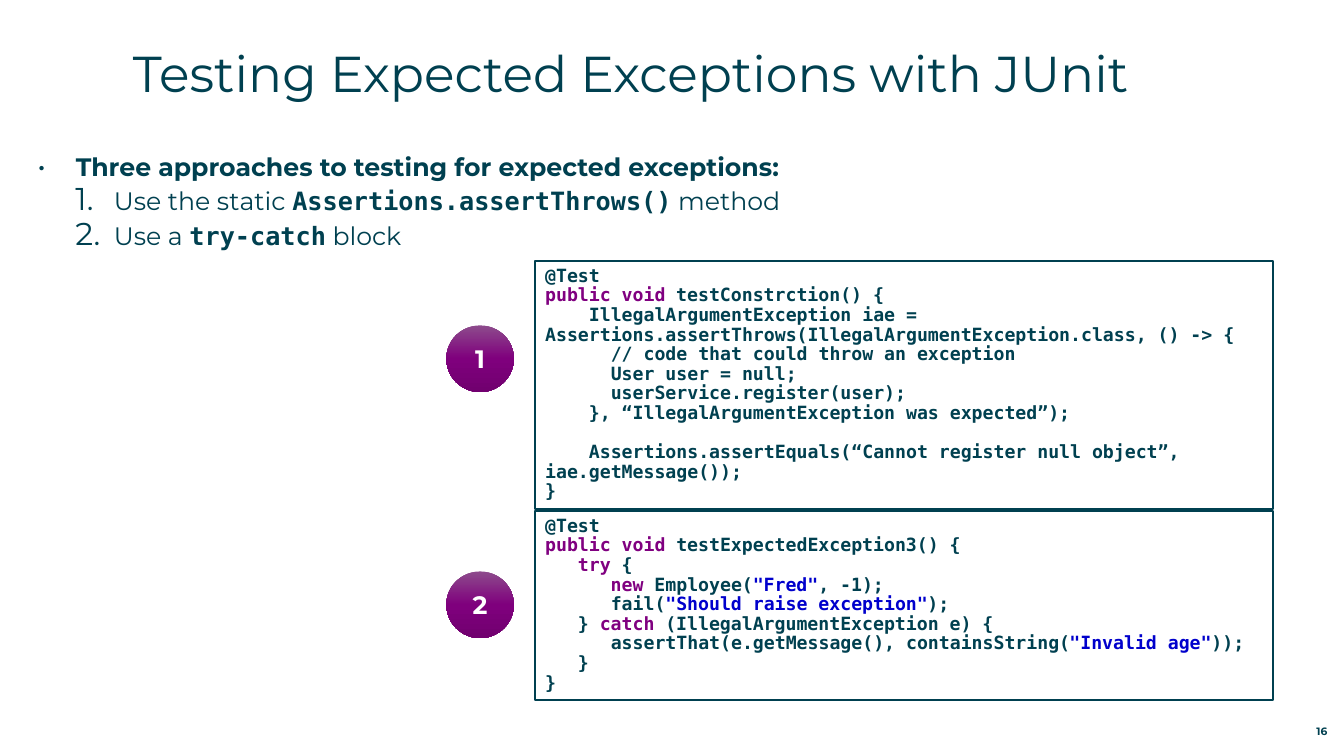
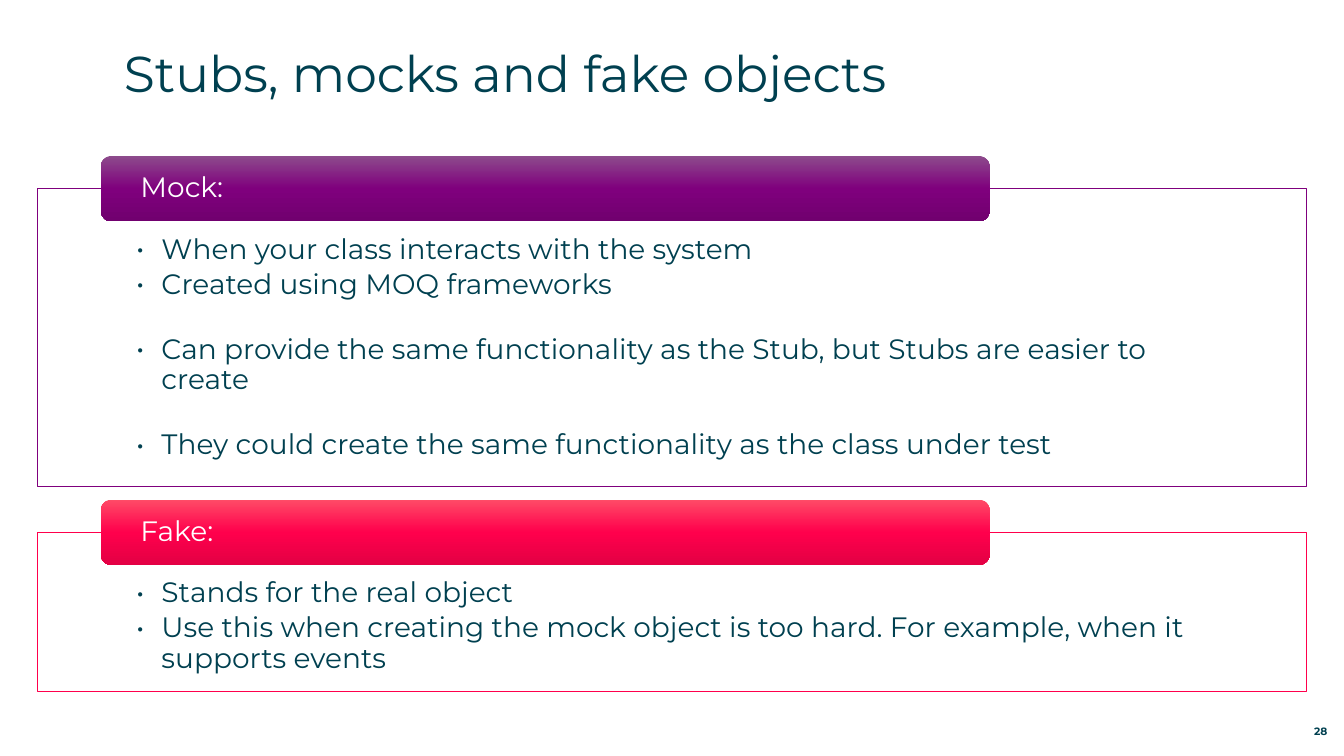
"""Build two slides on testing exceptions and test doubles."""
from copy import deepcopy

from lxml import etree
from pptx import Presentation
from pptx.dml.color import RGBColor
from pptx.enum import shapes, text
from pptx.oxml import ns
from pptx.util import Cm, Pt

rgb = RGBColor.from_string
INK, PURPLE, BLUE, WHITE = "004050", "800080", "0000CC", "FFFFFF"
VIOLET = ["8D4B8C", "7F007D", "71006F"]
RED = ["FF4B67", "FF004C", "E30044"]
SANS, MONO = "Montserrat", "DejaVu Sans Mono"
SHAPE, ANCHOR, ALIGN = shapes.MSO_SHAPE, text.MSO_ANCHOR, text.PP_ALIGN


def box(s, kind, frame, fill, line=None, weight=1.5):
    """Add a shape with a solid or three-stop gradient fill."""
    sp = s.shapes.add_shape(kind, *[Cm(v) for v in frame])
    sp.shadow.inherit = False
    if isinstance(fill, str):
        sp.fill.solid()
        sp.fill.fore_color.rgb = rgb(fill)
    else:
        sp.fill.gradient()
        sp.fill.gradient_angle = 270
        first = sp._element.spPr.find(".//" + ns.qn("a:gs"))
        first.addnext(deepcopy(first))
        for i, (stop, c) in enumerate(zip(sp.fill.gradient_stops, fill)):
            stop.position = i / 2
            stop.color.rgb = rgb(c)
    if line:
        sp.line.color.rgb = rgb(line)
        sp.line.width = Pt(weight)
    else:
        sp.line.fill.background()
    return sp


def write(tf, paras, font, para=None, inset=(0, 0, 0, 0), anchor=ANCHOR.TOP):
    """Fill a text frame with (format, runs) paragraphs."""
    tf.word_wrap = True
    tf.auto_size = text.MSO_AUTO_SIZE.NONE
    tf.vertical_anchor = anchor
    for side, v in zip(("left", "top", "right", "bottom"), inset):
        setattr(tf, "margin_" + side, Cm(v))
    base = {"alignment": ALIGN.LEFT, "space_before": Pt(0), **(para or {})}
    for i, (own, runs) in enumerate(paras):
        p = tf.add_paragraph() if i else tf.paragraphs[0]
        form = {**base, **own}
        left, hang, marks = form.pop("bullet", (0, 0, []))
        if marks:
            pPr = p._p.get_or_add_pPr()
            pPr.set("marL", str(Cm(left)))
            pPr.set("indent", str(-Cm(hang)))
            for tag, key, value in marks:
                etree.SubElement(pPr, ns.qn("a:" + tag)).set(key, value)
        for key, value in form.items():
            setattr(p, key, value)
        for run in runs:
            words, extra = (run, {}) if isinstance(run, str) else run
            r = p.add_run()
            r.text = words
            look = {"name": SANS, "bold": False, "color": INK, **font, **extra}
            r.font.color.rgb = rgb(look.pop("color"))
            for key, value in look.items():
                setattr(r.font, key, value)


prs = Presentation()
prs.slide_width, prs.slide_height = Cm(33.87), Cm(19.05)

slides = []
for layout, title, number, left, width in [
    (1, "Testing Expected Exceptions with JUnit", "16", 3.35, 29.59),
    (5, "Stubs, mocks and fake objects", "28", 3.12, 23.8),
]:
    s = prs.slides.add_slide(prs.slide_layouts[layout])
    sp = s.shapes.title
    sp.left, sp.top, sp.width, sp.height = Cm(left), Cm(1.07), Cm(width), Cm(2.24)
    write(sp.text_frame, [({}, [title])], {"size": Pt(36)})
    sp = s.shapes.add_textbox(Cm(31.27), Cm(18.08), Cm(2.18), Cm(0.51))
    write(sp.text_frame, [({}, [number])], {"size": Pt(7.6), "bold": True},
          {"alignment": ALIGN.RIGHT}, anchor=ANCHOR.BOTTOM)
    slides.append(s)

s = slides[0]
font_mark = ("buFont", "typeface", SANS)
dot = ("buChar", "char", "•")
top_item = {"bullet": (0.97, 0.97, [("buSzPct", "val", "115000"), font_mark, dot])}
step = {"level": 1, "bullet": (1.93, 0.97, [
    ("buSzPct", "val", "125000"), font_mark, ("buAutoNum", "type", "arabicPeriod")])}
mono = {"name": MONO, "bold": True}
sp = s.placeholders[1]
sp.left, sp.top, sp.width, sp.height = Cm(0.94), Cm(3.81), Cm(27.25), Cm(3.43)
write(sp.text_frame, [
    (top_item, [("Three approaches to testing for expected exceptions:", {"bold": True})]),
    (step, ["Use the static ", ("Assertions.assertThrows()", mono), " method"]),
    (step, ["Use a ", ("try-catch", mono), " block"]),
], {"size": Pt(18)}, {"space_after": Pt(3)})

key, quote = {"color": PURPLE}, {"color": BLUE}
gap = {"space_before": Pt(14)}
assert_throws = [
    ({}, ["@Test"]),
    ({}, [("public void ", key), "testConstrction() {"]),
    ({}, ["    IllegalArgumentException iae = "
          "Assertions.assertThrows(IllegalArgumentException.class, () -> {"]),
    ({}, ["      // code that could throw an exception"]),
    ({}, ["      User user = null;"]),
    ({}, ["      userService.register(user);"]),
    ({}, ["    }, “IllegalArgumentException was expected”);"]),
    (gap, ["    Assertions.assertEquals(“Cannot register null object”, iae.getMessage());"]),
    ({}, ["}"]),
]
try_catch = [
    ({}, ["@Test"]),
    ({}, [("public void", key), " testExpectedException3() {"]),
    ({}, ["   ", ("try", key), " {"]),
    ({}, ["      ", ("new", key), " Employee(", ('"Fred"', quote), ", -1);"]),
    ({}, ["      fail(", ('"Should raise exception"', quote), ");"]),
    ({}, ["   } ", ("catch", key), " (IllegalArgumentException e) {"]),
    ({}, ["      assertThat(e.getMessage(), containsString(",
          ('"Invalid age"', quote), "));"]),
    ({}, ["   }"]),
    ({}, ["}"]),
]
for number, code, top, height, badge_top in [
    ("1", assert_throws, 6.58, 6.25, 8.2),
    ("2", try_catch, 12.88, 4.75, 14.4),
]:
    sp = box(s, SHAPE.RECTANGLE, (13.49, top, 18.59, height), WHITE, INK)
    write(sp.text_frame, code, {"size": Pt(13), **mono},
          {"line_spacing": Pt(14)}, (0.25, 0.13, 0.25, 0.13))
    sp = box(s, SHAPE.OVAL, (11.25, badge_top, 1.7, 1.68), VIOLET)
    write(sp.text_frame, [({}, [number])],
          {"size": Pt(18), "bold": True, "color": WHITE},
          {"alignment": ALIGN.CENTER}, anchor=ANCHOR.MIDDLE)

s = slides[1]
item = {"level": 1, "space_after": Pt(3.5), "bullet": (0.64, 0.64, [font_mark, dot])}
spaced = {**item, "space_after": Pt(25)}
mock = [
    (item, ["When your class interacts with the system"]),
    (spaced, ["Created using MOQ frameworks"]),
    (spaced, ["Can provide the same functionality as the Stub, "
              "but Stubs are easier to create"]),
    (item, ["They could create the same functionality as the class under test"]),
]
fake = [
    (item, ["Stands for the real object"]),
    (item, ["Use this when creating the mock object is too hard. "
            "For example, when it supports events"]),
]
for name, points, top, height, shades in [
    ("Mock:", mock, 4.75, 7.52, VIOLET),
    ("Fake:", fake, 13.41, 4.01, RED),
]:
    sp = box(s, SHAPE.RECTANGLE, (0.94, top, 31.98, height), WHITE, shades[1], 0.5)
    write(sp.text_frame, points, {"size": Pt(20)}, {"line_spacing": 0.9},
          (2.49, 1.17, 2.49, 0.41))
    sp = box(s, SHAPE.ROUNDED_RECTANGLE, (2.54, top - 0.82, 22.4, 1.65), shades)
    write(sp.text_frame, [({}, [name])], {"size": Pt(20), "color": WHITE},
          {"line_spacing": 0.9}, (0.92, 0, 0.92, 0), ANCHOR.MIDDLE)

prs.save("out.pptx")
